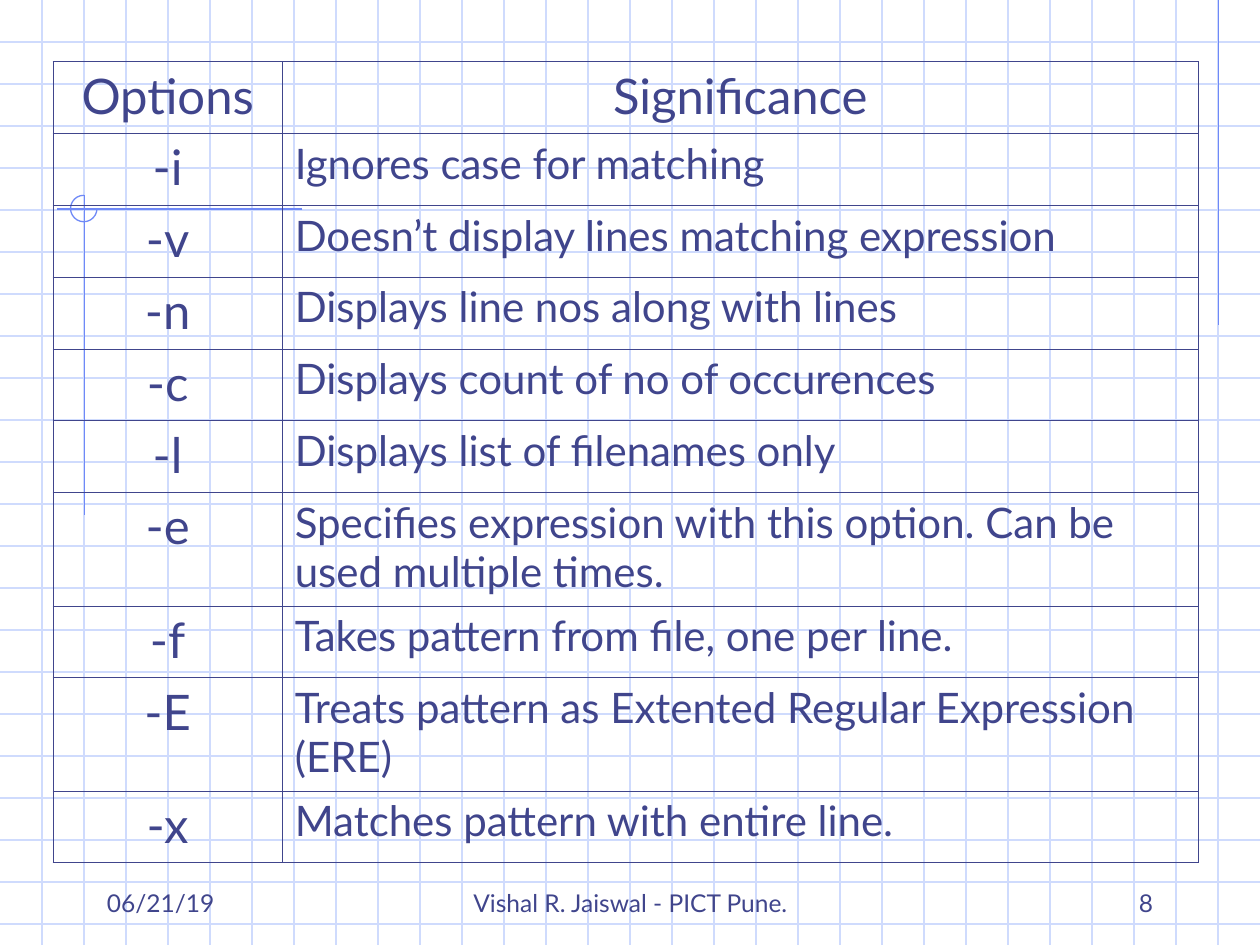
from lxml.etree import SubElement as Sub
from pptx import Presentation
from pptx.dml.color import RGBColor as RGB
from pptx.enum.shapes import MSO_CONNECTOR as CONN, MSO_SHAPE as SHAPE
from pptx.enum.text import MSO_ANCHOR as ANCHOR, PP_ALIGN as ALIGN
from pptx.oxml.ns import qn
from pptx.util import Inches, Pt

# Content
HEAD = ("Options", "Significance")
ROWS = [
    ("-i", "Ignores case for matching"),
    ("-v", "Doesn’t display lines matching expression"),
    ("-n", "Displays line nos along with lines"),
    ("-c", "Displays count of no of occurences"),
    ("-l", "Displays list of filenames only"),
    ("-e", "Specifies expression with this option. Can be used multiple times."),
    ("-f", "Takes pattern from file, one per line."),
    ("-E", "Treats pattern as Extented Regular Expression (ERE)"),
    ("-x", "Matches pattern with entire line."),
]
TALL = ("-e", "-E")
FOOT = [
    ("06/21/19", 0.75, 2.08, ALIGN.LEFT),
    ("Vishal R. Jaiswal - PICT Pune.", 3.42, 3.17, ALIGN.CENTER),
    ("8", 7.17, 2.08, ALIGN.RIGHT),
]

# Theme and layout
THEME = dict(font="Lato", ink="40458C", grid="CFDBFD", mark="6F89F7",
             big=28, body=24, small=14, thin=0.23, edge=0.5, rule=0.75)
WIDE, HIGH = 10, 7.5
STEP = 1 / 3
COLS = (1.82, 7.27)
LOW_ROW, TALL_ROW = 0.57, 0.9
MARKS = [(9.67, 0, 9.67, 2.58), (2.4, 1.66, 0.45, 1.66), (0.67, 1.55, 0.67, 4.09)]

deck = Presentation()
deck.slide_width, deck.slide_height = Inches(WIDE), Inches(HIGH)
slide = deck.slides.add_slide(deck.slide_layouts[6])
shapes = slide.shapes


def rule(x1, y1, x2, y2, tone):
    line = shapes.add_connector(CONN.STRAIGHT, *map(Inches, (x1, y1, x2, y2)))
    line.line.color.rgb = RGB.from_string(tone)
    line.line.width = Pt(THEME["rule"])
    Sub(line._element.spPr, qn("a:effectLst"))


def write(frame, text, size, align, **form):
    para = frame.paragraphs[0]
    para.text = text
    for key, val in dict(alignment=align, **form).items():
        setattr(para, key, val)
    font = para.runs[0].font
    for key, val in dict(name=THEME["font"], size=Pt(size)).items():
        setattr(font, key, val)
    font.color.rgb = RGB.from_string(THEME["ink"])


def border(cell, edges):
    props = cell._tc.get_or_add_tcPr()
    for spot, (side, width) in enumerate(edges.items()):
        line = Sub(props, qn("a:ln" + side), w=str(Pt(width)))
        Sub(Sub(line, qn("a:solidFill")), qn("a:srgbClr"), val=THEME["ink"])
        props.insert(spot, line)


# Graph paper
for n in range(1, int(HIGH / STEP) + 1):
    rule(0, n * STEP, WIDE, n * STEP, THEME["grid"])
for n in range(1, int(WIDE / STEP)):
    rule(n * STEP, 0, n * STEP, HIGH, THEME["grid"])

# Accent lines and three-quarter ring
for ends in MARKS:
    rule(*ends, THEME["mark"])
ring = shapes.add_shape(SHAPE.ARC, *map(Inches, (0.56, 1.55, 0.21, 0.21)))
ring.adjustments[0], ring.adjustments[1] = 0, 162
ring.shadow.inherit = False
ring.fill.background()
ring.line.color.rgb = RGB.from_string(THEME["mark"])
ring.line.width = Pt(THEME["rule"])

# Footer
for text, left, width, align in FOOT:
    frame = shapes.add_textbox(*map(Inches, (left, 6.83, width, 0.5))).text_frame
    frame.word_wrap = True
    frame.vertical_anchor = ANCHOR.BOTTOM
    write(frame, text, THEME["small"], align)

# Options table
data = [HEAD, *ROWS]
tall = [TALL_ROW if row[0] in TALL else LOW_ROW for row in data]
table = shapes.add_table(len(data), len(COLS), *map(
    Inches, (0.42, 0.49, sum(COLS), sum(tall)))).table
table.first_row = table.horz_banding = False
for col, width in zip(table.columns, COLS):
    col.width = Inches(width)
for r, row in enumerate(data):
    table.rows[r].height = Inches(tall[r])
    for c, text in enumerate(row):
        cell = table.cell(r, c)
        cell.fill.background()
        outer = dict(L=c == 0, R=c == len(COLS) - 1, T=r == 0, B=r == len(data) - 1)
        border(cell, {side: THEME["edge" if out else "thin"]
                      for side, out in outer.items()})
        main = r == 0 or c == 0
        write(cell.text_frame, text, THEME["big" if main else "body"],
              ALIGN.CENTER if main else ALIGN.LEFT, line_spacing=0.98)

deck.save("out.pptx")
